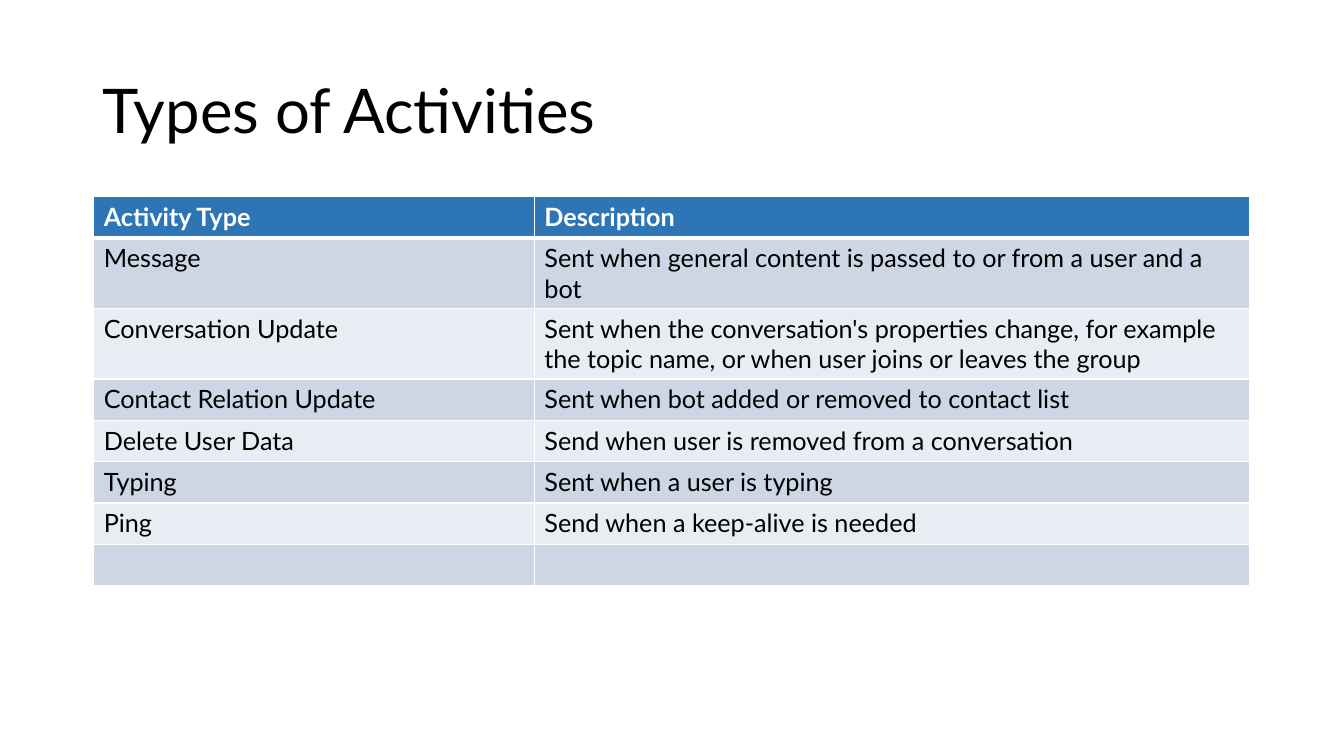
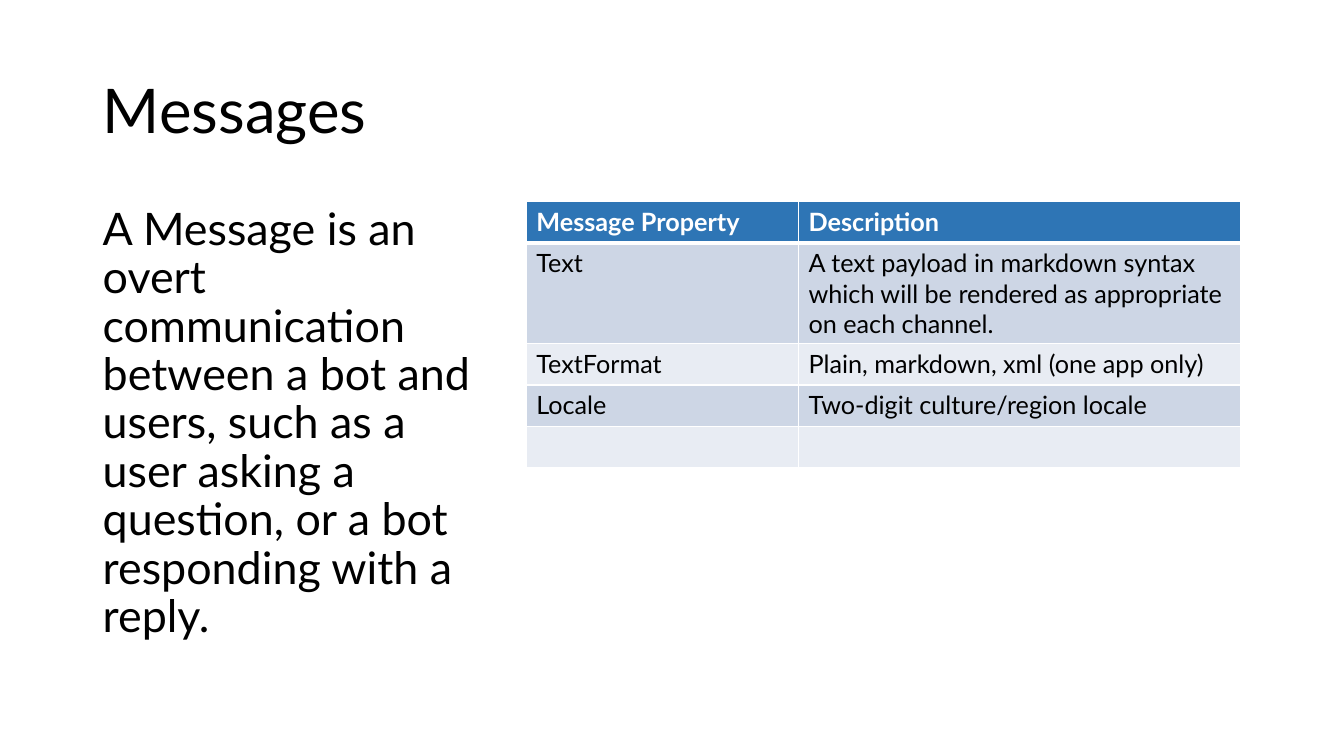
import pptx
import pptx.util
import pptx.dml.color
import pptx.enum.text
import pptx.oxml
import pptx.oxml.ns

PX = 9144  # 100 px to the inch
PAGE_SIZE = (1333, 750)
TITLE_BOX = (92, 40, 1150, 145)
ROW_HEIGHT = 41
TITLE_ONLY = 5

RGB = pptx.dml.color.RGBColor
BLACK = RGB(0x00, 0x00, 0x00)
WHITE = RGB(0xFF, 0xFF, 0xFF)
HEADER_BLUE = RGB(0x2E, 0x75, 0xB5)
BAND_FILLS = (RGB(0xE8, 0xEC, 0xF3), RGB(0xCD, 0xD6, 0xE5))

FONT = "Lato"
TITLE_FONT = {"size": 44, "color": BLACK, "bold": False}
BODY_FONT = {"size": 32, "color": BLACK, "bold": False}
HEADER_FONT = {"size": 18, "color": WHITE, "bold": True}
CELL_FONT = {"size": 18, "color": BLACK, "bold": False}

ANCHOR = pptx.enum.text.MSO_ANCHOR
LEFT = pptx.enum.text.PP_ALIGN.LEFT

ACTIVITIES = [
    ("Activity Type", "Description"),
    ("Message", "Sent when general content is passed to or from a user and a bot"),
    ("Conversation Update", "Sent when the conversation's properties change, "
     "for example the topic name, or when user joins or leaves the group"),
    ("Contact Relation Update", "Sent when bot added or removed to contact list"),
    ("Delete User Data", "Send when user is removed from a conversation"),
    ("Typing", "Sent when a user is typing"),
    ("Ping", "Send when a keep-alive is needed"),
    ("", ""),
]
PROPERTIES = [
    ("Message Property", "Description"),
    ("Text", "A text payload in markdown syntax which will be rendered "
     "as appropriate on each channel."),
    ("TextFormat", "Plain, markdown, xml (one app only)"),
    ("Locale", "Two-digit culture/region locale"),
    ("", ""),
]
MESSAGE_TEXT = ("A Message is an overt communication between a bot and users, "
                "such as a user asking a question, or a bot responding with a reply.")


def to_emu(box):
    return [length * PX for length in box]


def write_text(frame, text, style, line_spacing=None):
    """Fill the first paragraph of a text frame with one styled span."""
    para = frame.paragraphs[0]
    for name, value in {"alignment": LEFT, "line_spacing": line_spacing}.items():
        setattr(para, name, value)
    if not text:
        return
    span = para.add_run()
    span.text = text
    span.font.color.rgb = style["color"]
    values = {"name": FONT, "size": pptx.util.Pt(style["size"]), "bold": style["bold"]}
    for name, value in values.items():
        setattr(span.font, name, value)


def set_borders(cell, widths):
    """Give the left, right, top and bottom edges white lines, in points."""
    properties = cell._tc.get_or_add_tcPr()
    for index, (side, width) in enumerate(zip("LRTB", widths)):
        line = pptx.oxml.parse_xml(
            f'<a:ln{side} {pptx.oxml.ns.nsdecls("a")} w="{pptx.util.Pt(width)}">'
            f'<a:solidFill><a:srgbClr val="{WHITE}"/></a:solidFill></a:ln{side}>')
        properties.insert(index, line)


def add_page(deck, title):
    """Add a page with the shared title style."""
    page = deck.slides.add_slide(deck.slide_layouts[TITLE_ONLY])
    box = page.shapes.title
    box.left, box.top, box.width, box.height = to_emu(TITLE_BOX)
    frame = box.text_frame
    frame.vertical_anchor = ANCHOR.MIDDLE
    frame.auto_size = pptx.enum.text.MSO_AUTO_SIZE.NONE
    write_text(frame, title, TITLE_FONT, 0.9)
    return page


def add_body(page, box, text):
    frame = page.shapes.add_textbox(*to_emu(box)).text_frame
    frame.word_wrap = True
    write_text(frame, text, BODY_FONT, 0.9)


def add_banded_table(page, left, top, column_widths, rows):
    """Add a table with a blue header and alternating body bands."""
    box = (left, top, sum(column_widths), ROW_HEIGHT * len(rows))
    table = page.shapes.add_table(len(rows), len(column_widths), *to_emu(box)).table
    for column, width in zip(table.columns, column_widths):
        column.width = width * PX
    for row_index, texts in enumerate(rows):
        is_header = row_index == 0
        for column_index, text in enumerate(texts):
            cell = table.cell(row_index, column_index)
            cell.fill.solid()
            cell.fill.fore_color.rgb = HEADER_BLUE if is_header else BAND_FILLS[row_index % 2]
            # The line under the header is thicker
            set_borders(cell, (1, 1, 3 if row_index == 1 else 1, 3 if is_header else 1))
            write_text(cell.text_frame, text, HEADER_FONT if is_header else CELL_FONT)


def build_activities(deck):
    page = add_page(deck, "Types of Activities")
    add_banded_table(page, 93, 195, (437, 709), ACTIVITIES)


def build_messages(deck):
    page = add_page(deck, "Messages")
    add_body(page, (92, 200, 395, 459), MESSAGE_TEXT)
    add_banded_table(page, 522, 200, (270, 438), PROPERTIES)


def main():
    deck = pptx.Presentation()
    deck.slide_width, deck.slide_height = to_emu(PAGE_SIZE)
    build_activities(deck)
    build_messages(deck)
    deck.save("out.pptx")


if __name__ == "__main__":
    main()
